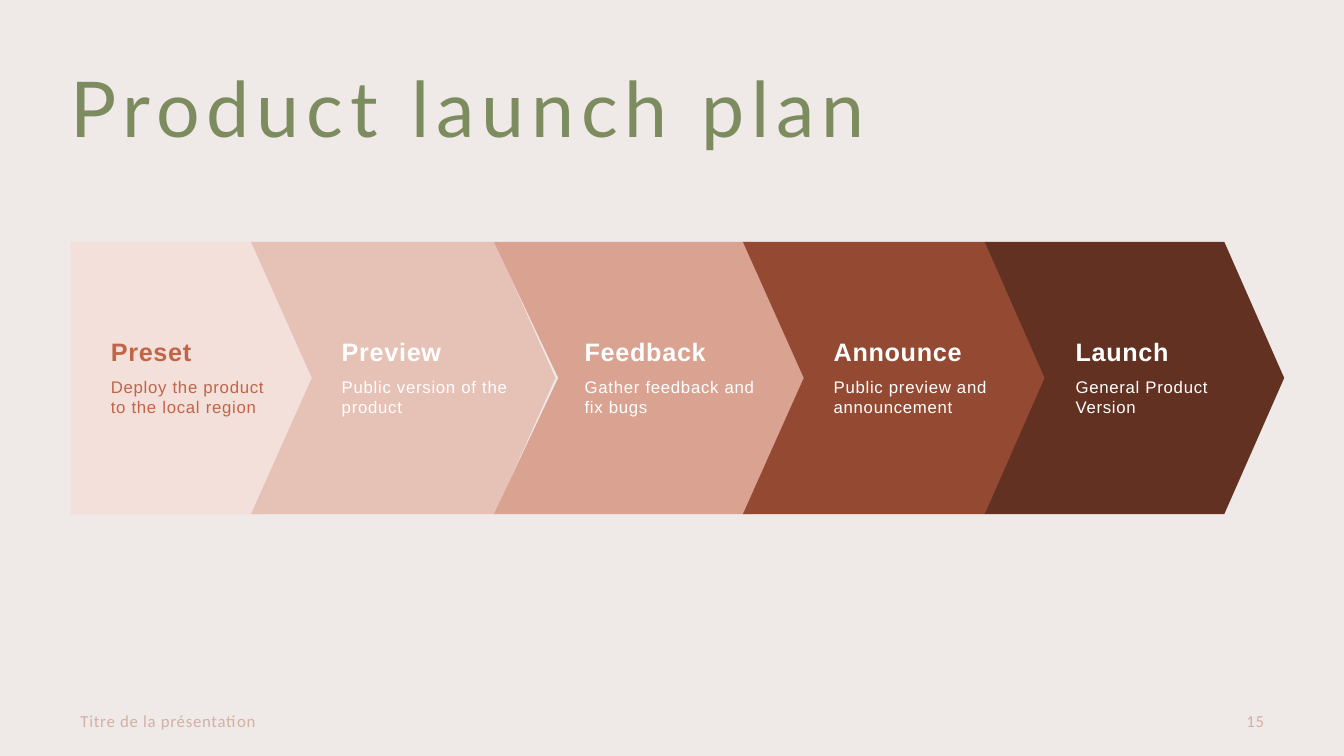
from dataclasses import dataclass

from pptx import Presentation
from pptx.dml.color import RGBColor
from pptx.enum.text import MSO_ANCHOR, MSO_AUTO_SIZE, PP_ALIGN
from pptx.slide import Slide
from pptx.text.text import TextFrame, _Paragraph
from pptx.util import Inches, Pt

LEFT, RIGHT = PP_ALIGN.LEFT, PP_ALIGN.RIGHT
TOP, MIDDLE = MSO_ANCHOR.TOP, MSO_ANCHOR.MIDDLE
NO_AUTOFIT = MSO_AUTO_SIZE.NONE

CELL = Inches(0.1)
COLUMNS, ROWS = 133.33, 75
MARGIN = 7
BAND_TOP, BAND_HEIGHT = 24, 27
TIP_SHARE = 0.2

COLORS = {
    "background": "EFE9E7",
    "title": "7C8C5F",
    "footer": "D3B0A5",
    "accent": "C16548",
    "white": "FFFFFF",
    "blush": "F3E0DA",
    "rose": "E6C1B6",
    "salmon": "DAA391",
    "rust": "944A32",
    "brown": "633122",
}


@dataclass(frozen=True)
class Stage:
    heading: str
    detail: str
    column: float
    width: float
    fill: str
    ink: str = "white"
    notched: bool = True


@dataclass(frozen=True)
class FooterItem:
    wording: str
    column: float
    width: float
    align: PP_ALIGN


STAGES = [
    Stage("Preset", "Deploy the product to the local region", 7, 24.3, "blush", "accent", False),
    Stage("Preview", "Public version of the product", 24.9, 30.2, "rose"),
    Stage("Feedback", "Gather feedback and fix bugs", 49, 31.9, "salmon"),
    Stage("Announce", "Public preview and announcement", 73.7, 30.2, "rust"),
    Stage("Launch", "General Product Version", 97.7, 29.7, "brown"),
]

FOOTER = [
    FooterItem("Titre de la présentation", MARGIN, 45, LEFT),
    FooterItem("15", 96.4, 30, RIGHT),
]


def grid(cells: float) -> int:
    return round(cells * CELL)


def color(key: str) -> RGBColor:
    return RGBColor.from_string(COLORS[key])


def style(paragraph: _Paragraph, face: str, size: float, ink: str, tracking: float,
          bold: bool = False, align: PP_ALIGN = LEFT) -> None:
    paragraph.alignment = align
    font = paragraph.font
    font.name, font.size, font.bold = face, Pt(size), bold
    font.color.rgb = color(ink)
    paragraph._p.pPr.get_or_add_defRPr().set("spc", str(round(tracking * 100)))


def set_frame(frame: TextFrame, anchor: MSO_ANCHOR, left: float, top: float,
              right: float, bottom: float) -> None:
    frame.word_wrap = True
    frame.auto_size = NO_AUTOFIT
    frame.vertical_anchor = anchor
    frame.margin_left, frame.margin_top = grid(left), grid(top)
    frame.margin_right, frame.margin_bottom = grid(right), grid(bottom)


def add_title(slide: Slide, wording: str) -> None:
    title = slide.shapes.title
    title.left, title.top = grid(MARGIN), grid(7)
    title.width, title.height = grid(119.4), grid(17)
    set_frame(title.text_frame, TOP, 0, 0, 0, 0)
    title.text_frame.text = wording
    paragraph = title.text_frame.paragraphs[0]
    paragraph.line_spacing = 0.9
    style(paragraph, "Lato", 55, "title", 5)


def add_stage(slide: Slide, stage: Stage) -> None:
    depth = stage.width * TIP_SHARE
    tip = stage.column + stage.width
    middle, bottom = BAND_TOP + BAND_HEIGHT / 2, BAND_TOP + BAND_HEIGHT
    outline = [(tip - depth, BAND_TOP), (tip, middle), (tip - depth, bottom), (stage.column, bottom)]
    if stage.notched:
        outline.append((stage.column + depth, middle))
    builder = slide.shapes.build_freeform(grid(stage.column), grid(BAND_TOP))
    builder.add_line_segments([(grid(x), grid(y)) for x, y in outline], close=True)
    arrow = builder.convert_to_shape()
    arrow.shadow.inherit = False
    arrow.fill.solid()
    arrow.fill.fore_color.rgb = color(stage.fill)
    arrow.line.fill.background()

    frame = arrow.text_frame
    left, right = (9, 4) if stage.notched else (4, 5)
    set_frame(frame, MIDDLE, left, 2, right, 2)
    heading, detail = frame.paragraphs[0], frame.add_paragraph()
    heading.text, detail.text = stage.heading, stage.detail
    heading.line_spacing = 0.9
    heading.space_after = Pt(7)
    style(heading, "Arial", 18, stage.ink, 0.5, bold=True)
    style(detail, "Arial", 12, stage.ink, 0.5)


def add_footer_item(slide: Slide, item: FooterItem) -> None:
    box = slide.shapes.add_textbox(grid(item.column), grid(69.5), grid(item.width), grid(4))
    set_frame(box.text_frame, MIDDLE, 1, 0.5, 1, 0.5)
    box.text_frame.text = item.wording
    style(box.text_frame.paragraphs[0], "Calibri", 12, "footer", 0.5, align=item.align)


def main() -> None:
    deck = Presentation()
    deck.slide_width, deck.slide_height = grid(COLUMNS), grid(ROWS)
    slide = deck.slides.add_slide(deck.slide_layouts[5])
    slide.background.fill.solid()
    slide.background.fill.fore_color.rgb = color("background")
    for stage in STAGES:
        add_stage(slide, stage)
    add_title(slide, "Product launch plan")
    for item in FOOTER:
        add_footer_item(slide, item)
    deck.save("out.pptx")


if __name__ == "__main__":
    main()
